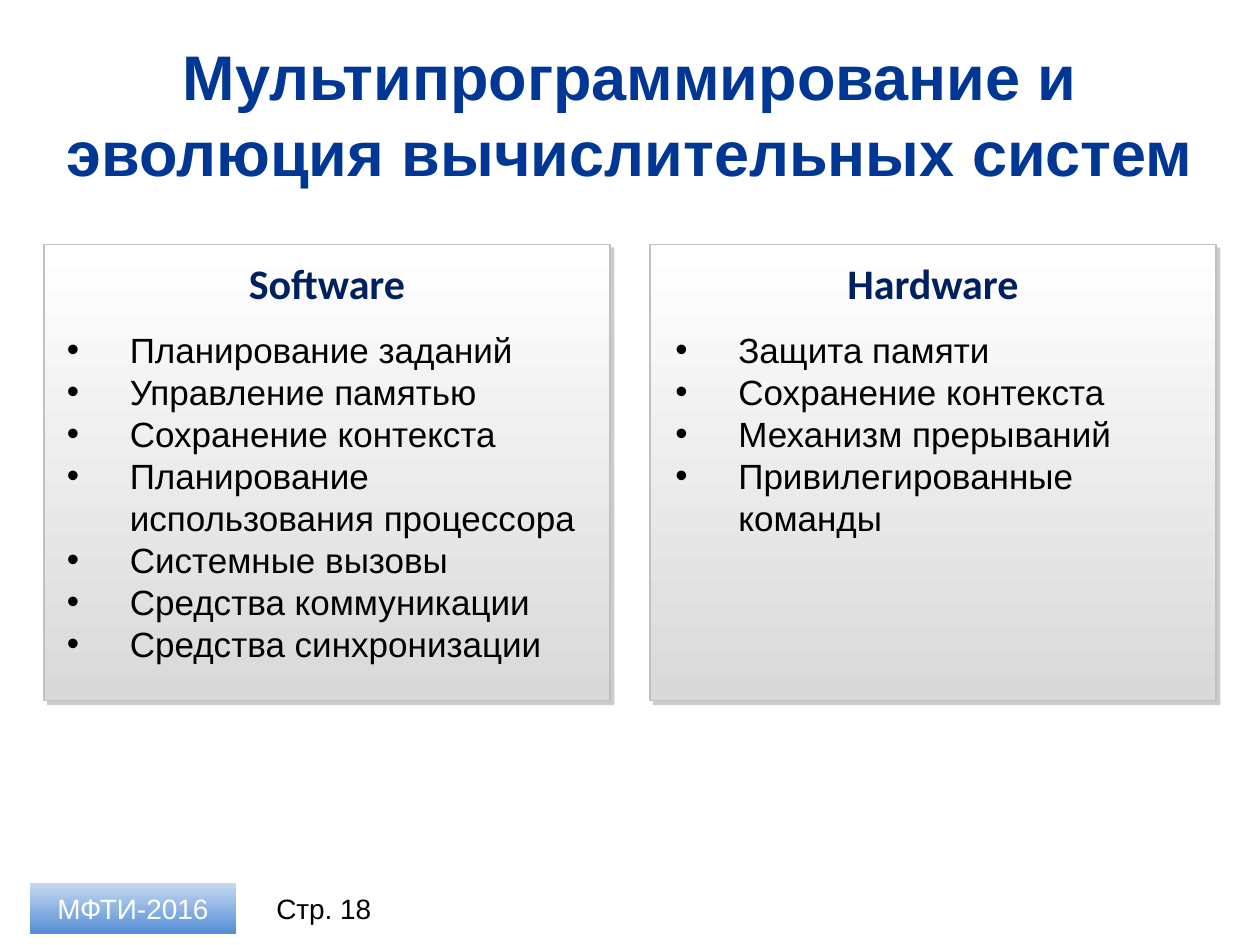
from dataclasses import dataclass

from lxml import etree
from pptx import Presentation
from pptx.dml.color import RGBColor
from pptx.enum.shapes import MSO_SHAPE
from pptx.enum.text import MSO_ANCHOR, MSO_AUTO_SIZE, PP_ALIGN
from pptx.oxml.ns import qn
from pptx.util import Inches, Pt

RECT = MSO_SHAPE.RECTANGLE
TOP, MIDDLE = MSO_ANCHOR.TOP, MSO_ANCHOR.MIDDLE
LEFT, CENTER = PP_ALIGN.LEFT, PP_ALIGN.CENTER
FIXED = MSO_AUTO_SIZE.NONE
COMPARE = 4  # layout with a title and two headed lists


@dataclass(frozen=True)
class Theme:
    font: str = "Arial"
    alt: str = "Calibri"
    title: str = "003794"
    head: str = "002060"
    ink: str = "000000"
    light: str = "FFFFFF"
    panel: tuple = ("FFFFFF", "D9D9D9")
    badge: tuple = ("C6D9F1", "558ED5")
    edge: str = "C0C0C0"
    shade: str = "808080"
    big: int = 36
    mid: int = 24
    body: int = 20
    small: int = 16


THEME = Theme()
COL_X, COL_STEP, COL_W = 0.35, 4.81, 4.49
ROW_Y, ROW_H = 1.94, 3.62
FOOT_Y, FOOT_H = 7.01, 0.4
INDENT = 0.5

COLUMNS = [
    ("Software", 0.08, [
        "Планирование заданий",
        "Управление памятью",
        "Сохранение контекста",
        "Планирование использования процессора",
        "Системные вызовы",
        "Средства коммуникации",
        "Средства синхронизации",
    ]),
    ("Hardware", 0.1, [
        "Защита памяти",
        "Сохранение контекста",
        "Механизм прерываний",
        "Привилегированные команды",
    ]),
]


def place(shape, x, y, w, h):
    shape.left, shape.top = Inches(x), Inches(y)
    shape.width, shape.height = Inches(w), Inches(h)


def mark(para, sign):
    """Give a paragraph a hanging bullet, or none if sign is empty."""
    props = para._p.get_or_add_pPr()
    shift = Inches(INDENT) if sign else 0
    props.set("marL", str(shift))
    props.set("indent", str(-shift))
    if sign:
        etree.SubElement(props, qn("a:buFont"), typeface=THEME.font)
        etree.SubElement(props, qn("a:buChar"), char=sign)
    else:
        etree.SubElement(props, qn("a:buNone"))


def write(shape, lines, size=THEME.body, color=THEME.ink, font=THEME.font,
          bold=False, align=CENTER, anchor=MIDDLE, sign=""):
    frame = shape.text_frame
    frame.word_wrap = True
    frame.auto_size = FIXED
    frame.vertical_anchor = anchor
    frame.text = "\n".join(lines)
    for para in frame.paragraphs:
        para.alignment = align
        para.space_before = Pt(0)
        mark(para, sign)
        face = para.runs[0].font
        face.name, face.size, face.bold = font, Pt(size), bold
        face.color.rgb = RGBColor.from_string(color)


def add_box(slide, x, y, w, h, tones):
    """Add a plain rectangle shaded from the first tone down to the second."""
    box = slide.shapes.add_shape(RECT, *map(Inches, (x, y, w, h)))
    box.shadow.inherit = False
    box.line.fill.background()
    box.fill.gradient()
    box.fill.gradient_angle = 270
    for stop, tone in zip(box.fill.gradient_stops, tones):
        stop.color.rgb = RGBColor.from_string(tone)
    return box


def add_panel(slide, x):
    """Add an edged box with a shadow, behind the placeholders."""
    box = add_box(slide, x, ROW_Y, COL_W, ROW_H, THEME.panel)
    box.line.color.rgb = RGBColor.from_string(THEME.edge)
    box.line.width = Pt(1)
    effects = box._element.spPr.find(qn("a:effectLst"))
    shadow = etree.SubElement(effects, qn("a:outerShdw"), blurRad="0",
                              dist=str(Pt(3)), dir="2700000", algn="tl",
                              rotWithShape="0")
    tone = etree.SubElement(shadow, qn("a:srgbClr"), val=THEME.shade)
    etree.SubElement(tone, qn("a:alpha"), val="40000")
    slide.shapes._spTree.insert(2, box._element)


def add_column(slide, index, head, inset, items):
    x = COL_X + index * COL_STEP
    add_panel(slide, x)
    name, body = (slide.placeholders[2 * index + n] for n in (1, 2))
    place(name, x + 0.15, ROW_Y + 0.05, COL_W - 0.3, 0.5)
    write(name, [head], size=THEME.mid, color=THEME.head, font=THEME.alt,
          bold=True, anchor=TOP)
    place(body, x + inset, ROW_Y + 0.62, 4.38, ROW_H - 0.62)
    write(body, items, align=LEFT, anchor=TOP, sign="•")


def add_footer(slide):
    badge = add_box(slide, 0.24, FOOT_Y, 1.63, FOOT_H, THEME.badge)
    write(badge, ["МФТИ-2016"], size=THEME.small, color=THEME.light)
    page = slide.shapes.add_textbox(*map(Inches, (2.03, FOOT_Y, 1.08, FOOT_H)))
    write(page, ["Стр. 18"], size=THEME.small)


def main():
    deck = Presentation()
    deck.slide_width, deck.slide_height = Inches(10), Inches(7.5)
    slide = deck.slides.add_slide(deck.slide_layouts[COMPARE])
    title = slide.shapes.title
    place(title, COL_X, 0.26, 10 - 2 * COL_X, 1.28)
    write(title, ["Мультипрограммирование и эволюция вычислительных систем"],
          size=THEME.big, color=THEME.title, bold=True)
    for index, column in enumerate(COLUMNS):
        add_column(slide, index, *column)
    add_footer(slide)
    deck.save("out.pptx")


if __name__ == "__main__":
    main()
